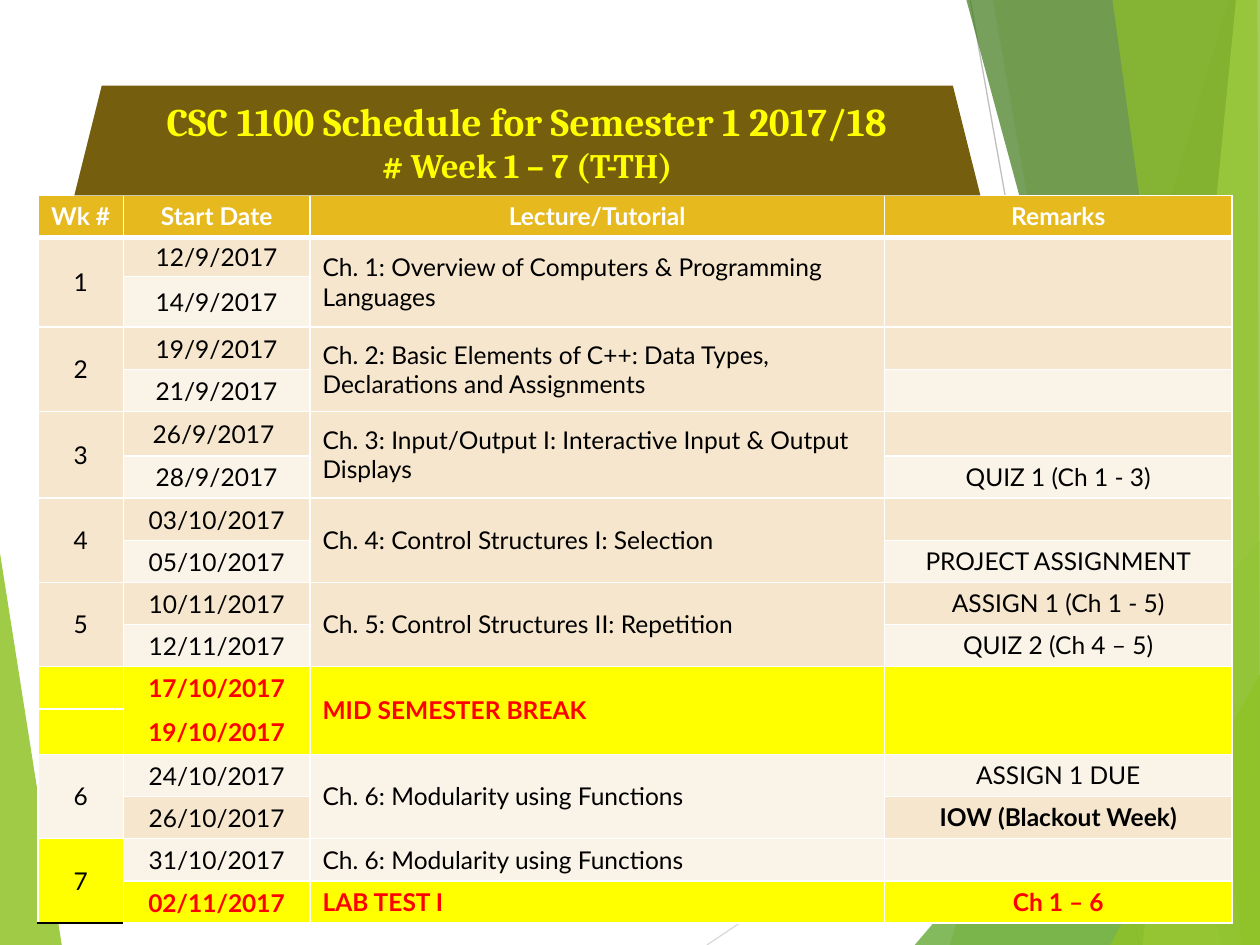
from lxml import etree
from pptx import Presentation
from pptx.dml import color
from pptx.enum import shapes, text
from pptx.oxml import ns
from pptx.util import Inches, Pt

WHITE, BLACK, YELLOW, RED = "FFFFFF", "000000", "FFFF00", "FF0000"
HEADER_FILL, DARK_BAND, LIGHT_BAND = "E6B91E", "F5E6CD", "FAF3E8"

GUIDE_LINES = [
    ((5.61, 7.5), (10, 4.57), "D9D9D9"),
    ((7.7, 0), (9.04, 7.5), "BFBFBF"),
]
FACETS = [
    ([(0, 4.39), (0.49, 7.5), (0, 7.5)], "90C226", 85),
    ([(9.75, 0), (7.54, 7.5), (10, 7.5), (10, 0)], "90C226", 30),
    ([(7.88, 0), (9.19, 7.5), (10, 7.5), (10, 0)], "90C226", 20),
    ([(7.26, 7.5), (10, 4.29), (10, 7.5)], "54A021", 72),
    ([(7.67, 0), (9.7, 7.5), (10, 7.5), (10, 0)], "3F7819", 70),
    ([(9.81, 0), (9.07, 7.5), (10, 7.5), (10, 0)], "C0E474", 70),
    ([(8.83, 0), (9.86, 7.5), (10, 7.5), (9.98, 0)], "90C226", 65),
    ([(8.81, 7.5), (10, 5.35), (10, 7.5)], "90C226", 80),
]

COLUMN_WIDTHS = [0.68, 1.48, 4.56, 2.76]
ROW_HEIGHTS = [0.33, 0.31, 0.4, 0.33, 0.33, 0.35, 0.31, 0.33, 0.33,
               0.33, 0.33, 0.33, 0, 0.36, 0.33, 0.32, 0.33, 0.33]
HIGHLIGHTED_ROWS = {11, 12, 13, 17}
LAST_WEEK_ROWS = {16, 17}
BOLD_REMARK = "IOW (Blackout Week)"
SCHEDULE = [
    ("Wk #", "Start Date", "Lecture/Tutorial", "Remarks"),
    ("1", "12/9/2017", "Ch. 1: Overview of Computers & Programming Languages", ""),
    (None, "14/9/2017", None, None),
    ("2", "19/9/2017", "Ch. 2: Basic Elements of C++: Data Types, Declarations and Assignments", ""),
    (None, "21/9/2017", None, ""),
    ("3", "26/9/2017 ", "Ch. 3: Input/Output I: Interactive Input & Output Displays", ""),
    (None, "28/9/2017", None, "QUIZ 1 (Ch 1 - 3)"),
    ("4", "03/10/2017", "Ch. 4: Control Structures I: Selection", ""),
    (None, "05/10/2017", None, "PROJECT ASSIGNMENT"),
    ("5", "10/11/2017", "Ch. 5: Control Structures II: Repetition", "ASSIGN 1 (Ch 1 - 5)"),
    (None, "12/11/2017", None, "QUIZ 2 (Ch 4 – 5)"),
    ("", "17/10/2017", "MID SEMESTER BREAK", ""),
    (None, "19/10/2017", None, ""),
    ("", None, None, None),
    ("6", "24/10/2017", "Ch. 6: Modularity using Functions", "ASSIGN 1 DUE"),
    (None, "26/10/2017", None, BOLD_REMARK),
    ("7", "31/10/2017", "Ch. 6: Modularity using Functions", ""),
    (None, "02/11/2017", "LAB TEST I", "Ch 1 – 6"),
]


def rgb(value):
    return color.RGBColor.from_string(value)


def paint(fill, value):
    fill.solid()
    fill.fore_color.rgb = rgb(value)


def style_font(font, name, size, value, bold):
    font.name = name
    font.size = Pt(size)
    font.bold = bold
    font.color.rgb = rgb(value)


def set_alpha(shape, percent):
    srgb = shape._element.spPr.find(".//" + ns.qn("a:srgbClr"))
    etree.SubElement(srgb, ns.qn("a:alpha"), val=str(percent * 1000))


def set_border(cell, side, value, width):
    properties = cell._tc.get_or_add_tcPr()
    line = etree.SubElement(properties, ns.qn("a:ln" + side), w=str(Pt(width)))
    fill = etree.SubElement(line, ns.qn("a:solidFill"))
    etree.SubElement(fill, ns.qn("a:srgbClr"), val=value)


def add_guide_line(slide, left, top, start, end, value):
    ends = [Inches(c + o) for point in (start, end) for c, o in zip(point, (left, top))]
    line = slide.shapes.add_connector(shapes.MSO_CONNECTOR.STRAIGHT, *ends)
    line.line.color.rgb = rgb(value)
    line.line.width = Pt(0.75)
    etree.SubElement(line._element.spPr, ns.qn("a:effectLst"))


def add_facet(slide, left, top, points, value, alpha):
    corners = [(Inches(left + x), Inches(top + y)) for x, y in points]
    builder = slide.shapes.build_freeform(*corners[0])
    builder.add_line_segments(corners[1:], close=True)
    shape = builder.convert_to_shape()
    shape.shadow.inherit = False
    shape.line.fill.background()
    paint(shape.fill, value)
    set_alpha(shape, alpha)


def add_backdrop(slide, left, top):
    add_facet(slide, left, top, *FACETS[0])
    for guide in GUIDE_LINES:
        add_guide_line(slide, left, top, *guide)
    for facet in FACETS[1:]:
        add_facet(slide, left, top, *facet)


def add_title(slide, left, top, width, height):
    banner = slide.shapes.add_shape(
        shapes.MSO_SHAPE.TRAPEZOID,
        Inches(left), Inches(top), Inches(width), Inches(height))
    banner.shadow.inherit = False
    banner.line.fill.background()
    paint(banner.fill, "755E0D")
    frame = banner.text_frame
    frame.word_wrap = True
    frame.vertical_anchor = text.MSO_ANCHOR.MIDDLE
    frame.text = "CSC 1100 Schedule for Semester 1 2017/18\n# Week 1 – 7 (T-TH)"
    for paragraph, size in zip(frame.paragraphs, (22.4, 19.6)):
        paragraph.alignment = text.PP_ALIGN.CENTER
        style_font(paragraph.runs[0].font, "Cambria", size, YELLOW, True)


def cell_fill(row, column):
    if row == 0:
        return HEADER_FILL
    if row in HIGHLIGHTED_ROWS or (column == 0 and row in LAST_WEEK_ROWS):
        return YELLOW
    return DARK_BAND if row % 2 else LIGHT_BAND


def cell_font(row, content):
    if row == 0:
        return WHITE, True
    if row in HIGHLIGHTED_ROWS:
        return RED, True
    return BLACK, content == BOLD_REMARK


def format_cell(cell, row, column, content):
    last_week = column == 0 and row in LAST_WEEK_ROWS
    for side in "LRT":
        set_border(cell, side, WHITE, 1)
    set_border(cell, "B", BLACK if last_week else WHITE, 1 if row else 3)
    paint(cell.fill, cell_fill(row, column))
    if row and column < 3:
        cell.vertical_anchor = text.MSO_ANCHOR.MIDDLE
    if row and column == 1:
        cell.margin_left = cell.margin_right = cell.margin_top = Inches(0.01)
        cell.margin_bottom = 0
    cell.text_frame.text = content or ""
    paragraph = cell.text_frame.paragraphs[0]
    if row == 0 or column != 2:
        paragraph.alignment = text.PP_ALIGN.CENTER
    for run in paragraph.runs:
        style_font(run.font, "Lato", 14, *cell_font(row, content))
    if not content:
        paragraph._p.get_or_add_endParaRPr().set("sz", "1400")


def merge_covered_cells(table):
    for column in range(len(COLUMN_WIDTHS)):
        starts = [r for r, row in enumerate(SCHEDULE) if row[column] is not None]
        for start, following in zip(starts, starts[1:] + [len(SCHEDULE)]):
            if following - start > 1:
                table.cell(start, column).merge(table.cell(following - 1, column))


def add_schedule(slide, left, top):
    table = slide.shapes.add_table(
        len(SCHEDULE), len(COLUMN_WIDTHS), Inches(left), Inches(top),
        Inches(sum(COLUMN_WIDTHS)), Inches(sum(ROW_HEIGHTS))).table
    table.horz_banding = False
    for column, width in zip(table.columns, COLUMN_WIDTHS):
        column.width = Inches(width)
    for row, height in zip(table.rows, ROW_HEIGHTS):
        row.height = Inches(height)
    for row, entries in enumerate(SCHEDULE):
        for column, content in enumerate(entries):
            format_cell(table.cell(row, column), row, column, content)
    merge_covered_cells(table)


def main():
    presentation = Presentation()
    presentation.slide_width = Inches(10)
    presentation.slide_height = Inches(7.5)
    slide = presentation.slides.add_slide(presentation.slide_layouts[6])
    add_backdrop(slide, 0, 0)
    add_schedule(slide, 0.3, 1.55)
    add_title(slide, 0.59, 0.68, 7.19, 0.87)
    presentation.save("out.pptx")


if __name__ == "__main__":
    main()
